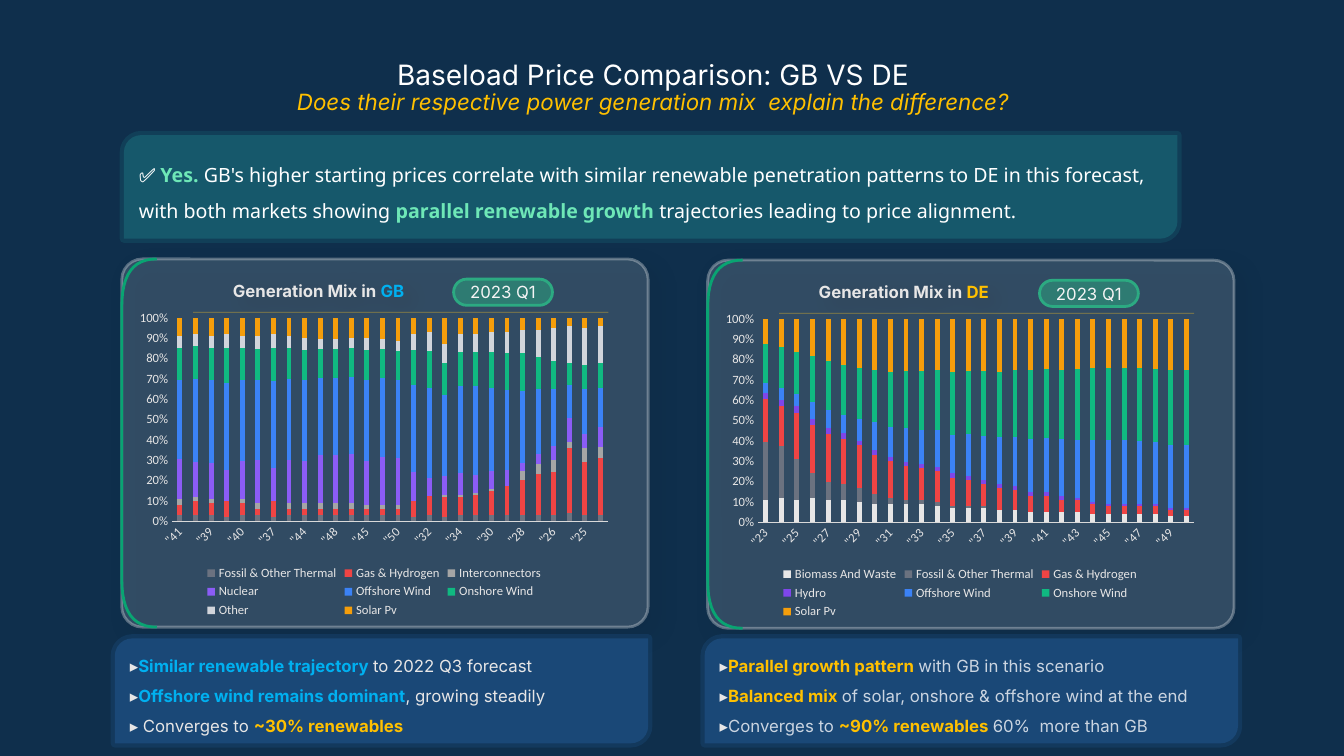
from dataclasses import dataclass

from lxml.etree import SubElement
from pptx import Presentation
from pptx.chart.data import CategoryChartData
from pptx.dml.color import RGBColor
from pptx.enum.chart import XL_CHART_TYPE as CT, XL_LEGEND_POSITION as LP, XL_TICK_MARK as TM
from pptx.enum.shapes import MSO_CONNECTOR as MC, MSO_SHAPE as MS
from pptx.enum.text import MSO_ANCHOR as MA, PP_ALIGN as PA
from pptx.oxml.ns import qn
from pptx.util import Pt


@dataclass(frozen=True)
class Theme:
    """Colours, fonts and type sizes."""
    back: str = "0F2F4C"
    banner: str = "16586B"
    note: str = "1A4877"
    white: str = "FFFFFF"
    light: str = "E7E6E6"
    soft: str = "CBD5E1"
    mint: str = "6EE7B7"
    green: str = "09A472"
    blue: str = "00B0F0"
    gold: str = "FFC000"
    axis: str = "D9D9D9"
    shadow: str = "000000"
    sans: str = "Inter"
    body: str = "Noto Sans"
    chart: str = "Calibri"
    title: int = 20
    subtitle: int = 16
    lead: int = 14
    text: int = 12
    label: int = 9


T = Theme()
COLOURS = {
    "Biomass And Waste": "E7E6E6", "Fossil & Other Thermal": "6B7280",
    "Gas & Hydrogen": "EF4444", "Interconnectors": "A5A5A5",
    "Nuclear": "8B5CF6", "Hydro": "7F46EA", "Offshore Wind": "3B82F6",
    "Onshore Wind": "10B981", "Other": "D1D5DB", "Solar Pv": "F59E0B",
}
GB_YEARS = [41, 38, 39, 36, 40, 42, 37, 43, 44, 46, 48, 47, 45, 49,
            50, 35, 32, 31, 34, 33, 30, 29, 28, 27, 26, 23, 25, 24]
GB_MIX = {
    "Fossil & Other Thermal": [3, 3, 3, 2, 3, 3, 2, 3, 3, 3, 3, 3, 3, 3,
                               3, 2, 3, 2, 3, 3, 3, 3, 3, 3, 3, 4, 3, 3],
    "Gas & Hydrogen": [5, 7, 6, 8, 6, 3, 8, 3, 3, 3, 3, 3, 3, 3,
                       3, 8, 9, 10, 9, 10, 12, 14, 17, 20, 21, 32, 26, 28],
    "Interconnectors": [-3, -2, -2, 0, -2, -3, 0, -3, -3, -3, -3, -3, -2, -2,
                        -2, 0, 0, -1, 1, 1, -1, 0, 4, 5, 6, 3, 7, 5],
    "Nuclear": [20, 17, 18, 15, 19, 21, 16, 21, 21, 23, 23, 24, 22, 23,
                23, 14, 9, 9, 11, 9, 9, 8, 4, 5, 7, 12, 7, 10],
    "Offshore Wind": [39, 41, 41, 43, 40, 39, 43, 40, 40, 38, 38, 38, 40, 38,
                      38, 43, 44, 40, 44, 44, 41, 39, 35, 32, 28, 16, 22, 19],
    "Onshore Wind": [16, 16, 16, 17, 16, 15, 16, 15, 15, 14, 14, 14, 15, 14,
                     14, 17, 18, 16, 17, 17, 18, 18, 18, 16, 14, 11, 12, 12],
    "Other": [6, 6, 6, 7, 6, 6, 7, 6, 6, 5, 5, 5, 6, 5,
              5, 8, 9, 9, 9, 9, 10, 10, 11, 13, 16, 18, 18, 18],
    "Solar Pv": [9, 8, 9, 8, 9, 9, 8, 9, 10, 10, 10, 10, 10, 10,
                 11, 8, 7, 13, 8, 8, 7, 7, 6, 6, 5, 4, 5, 4],
}
DE_YEARS = range(23, 51)
DE_MIX = {
    "Biomass And Waste": [11, 12, 11, 12, 11, 11, 10, 9, 9, 9, 9, 8, 7, 7,
                          7, 6, 6, 5, 5, 5, 5, 4, 4, 4, 4, 4, 3, 3],
    "Fossil & Other Thermal": [28, 26, 20, 12, 9, 8, 7, 5, 3, 2, 2, 2, 1, 1, 1] + [0] * 13,
    "Gas & Hydrogen": [21, 20, 23, 24, 24, 23, 21, 19, 18, 17, 16, 15, 14, 13,
                       11, 11, 10, 8, 8, 6, 6, 5, 4, 4, 4, 4, 3, 3],
    "Hydro": [3] * 6 + [2] * 14 + [1] * 8,
    "Offshore Wind": [5, 6, 6, 8, 9, 9, 11, 14, 15, 17, 17, 18, 19, 21,
                      22, 23, 24, 26, 27, 28, 29, 30, 31, 31, 31, 31, 31, 31],
    "Onshore Wind": [19, 20, 21, 23, 24, 25, 25, 25, 27, 28, 29, 29, 31, 31,
                     32, 32, 33, 34, 34, 34, 35, 35, 35, 35, 36, 36, 37, 37],
    "Solar Pv": [12, 14, 16, 18, 21, 23, 24, 25, 26, 26, 26, 25, 26, 26,
                 26, 26, 25, 25, 25, 25, 25, 24, 24, 24, 24, 25, 25, 25],
}


def paint(fill, colour, alpha=100):
    """Fill with a solid colour at the given opacity."""
    fill.solid()
    fill.fore_color.rgb = RGBColor.from_string(colour)
    if alpha < 100:
        clr = fill._xPr.find(".//" + qn("a:srgbClr"))
        SubElement(clr, qn("a:alpha"), val=str(alpha * 1000))


def add_box(s, kind, box, fill, line, width, fill_alpha=100, line_alpha=100):
    """Add a preset shape without a shadow, its text centred vertically."""
    sp = s.shapes.add_shape(kind, *map(Pt, box))
    sp.shadow.inherit = False
    paint(sp.fill, fill, fill_alpha)
    paint(sp.line.fill, line, line_alpha)
    sp.line.width = Pt(width)
    sp.text_frame.vertical_anchor = MA.MIDDLE
    return sp


def write(tf, lines, size, name=T.sans, spacing=1.0, align=PA.LEFT):
    """Write lines of (text, colour, bold) runs."""
    tf.word_wrap = True
    for i, runs in enumerate(lines):
        p = tf.add_paragraph() if i else tf.paragraphs[0]
        p.alignment, p.line_spacing = align, spacing
        p.font.size, p.font.name = Pt(size), name
        for text, colour, bold in runs:
            r = p.add_run()
            r.text, r.font.bold = text, bold
            r.font.color.rgb = RGBColor.from_string(colour)


def add_title(s, box):
    """Place the title and its question."""
    tf = s.shapes.add_textbox(*map(Pt, box)).text_frame
    tf.vertical_anchor = MA.MIDDLE
    write(tf, [[("Baseload Price Comparison: GB VS DE", T.white, False)],
               [("Does their respective power generation mix  explain the difference?", T.gold, False)]],
          T.title, spacing=0.9, align=PA.CENTER)
    question = tf.paragraphs[1].font
    question.size, question.italic = Pt(T.subtitle), True


def add_banner(s, box):
    """Place the answer banner."""
    sp = add_box(s, MS.ROUND_2_DIAG_RECTANGLE, box, T.banner, T.banner, 6, line_alpha=40)
    write(sp.text_frame, [[
        ("✅ ", T.white, False), ("Yes.", T.mint, True),
        (" GB's higher starting prices correlate with similar renewable penetration patterns to DE "
         "in this forecast, with both markets showing ", T.white, False),
        ("parallel renewable growth", T.mint, True),
        (" trajectories leading to price alignment.", T.white, False)]], T.lead, T.body, 1.5)
    sp.text_frame.paragraphs[0].runs[0].font.name = T.chart


def add_edge(s, box):
    """Trace the green left edge with its two curved corners."""
    x, y, w, h = box
    curve = []
    for i in range(13):
        t = i / 12
        u = 1 - t
        curve.append((25 * u**3 + 75 * u * u * t / 3, 34.5 * (t**3 + 3 * u * t * t * 0.31)))
    points = [(x + dx, y + dy) for dx, dy in curve]
    points += [(x + dx, y + h - dy) for dx, dy in reversed(curve)]
    points = [(Pt(px), Pt(py)) for px, py in points]
    fb = s.shapes.build_freeform(*points[0])
    fb.add_line_segments(points[1:], close=False)
    sp = fb.convert_to_shape()
    sp.shadow.inherit = False
    sp.fill.background()
    paint(sp.line.fill, T.green)
    sp.line.width = Pt(2)


def add_mix_chart(s, box, years, mix):
    """Place the stacked generation chart."""
    data = CategoryChartData()
    data.categories = [f'"{year}' for year in years]
    for name, values in mix.items():
        data.add_series(name, values)
    chart = s.shapes.add_chart(CT.COLUMN_STACKED_100, *map(Pt, box), data).chart
    chart.font.size, chart.font.name = Pt(T.label), T.chart
    chart.font.color.rgb = RGBColor.from_string(T.light)
    chart.has_title = False
    chart.has_legend = True
    chart.legend.position, chart.legend.include_in_layout = LP.BOTTOM, False
    cat, val = chart.category_axis, chart.value_axis
    for axis in (cat, val):
        axis.major_tick_mark = axis.minor_tick_mark = TM.NONE
        axis.has_major_gridlines = False
        axis.tick_labels.font.size = Pt(T.label)
    paint(cat.format.line.fill, T.axis)
    cat.format.line.width = Pt(0.75)
    cat._element.find(".//" + qn("a:bodyPr")).set("rot", "-2700000")
    val.format.line.fill.background()
    val.tick_labels.number_format, val.tick_labels.number_format_is_linked = "0%", False
    plot = chart.plots[0]
    plot.gap_width, plot.overlap, plot.vary_by_categories = 219, 100, False
    for series in plot.series:
        paint(series.format.fill, COLOURS[series.name])
        series.invert_if_negative = False


def add_market(s, box, market, colour, years, mix):
    """Place one market panel with its heading, quarter and chart."""
    x, y, w, h = box
    pill = add_box(s, MS.ROUNDED_RECTANGLE, (x + 237, y + 14.4, 70.6, 18.7), T.green, T.green, 2, 50)
    pill.adjustments[0] = 0.5
    write(pill.text_frame, [[("2023 Q1", T.white, False)]], T.text, align=PA.CENTER)
    rule = s.shapes.add_connector(MC.STRAIGHT, *map(Pt, (x + 51, y + 38, x + 347.5, y + 38)))
    paint(rule.line.fill, T.gold, 50)
    rule.line.width = Pt(0.5)
    SubElement(rule._element.spPr, qn("a:effectLst"))
    panel = add_box(s, MS.ROUNDED_RECTANGLE, box, T.white, T.white, 2, 15, 30)
    panel.adjustments[0] = 0.056
    effects = panel._element.spPr.find(qn("a:effectLst"))
    shadow = SubElement(effects, qn("a:outerShdw"), blurRad=str(Pt(15)), dist=str(Pt(8)), dir="2700000")
    SubElement(SubElement(shadow, qn("a:srgbClr"), val=T.shadow), qn("a:alpha"), val="30000")
    tf = panel.text_frame
    tf.vertical_anchor, tf.margin_left, tf.margin_top = MA.TOP, Pt(75), Pt(11)
    write(tf, [[("Generation Mix in ", T.light, True), (market, colour, True)]], T.text)
    add_edge(s, box)
    add_mix_chart(s, (x + 6, y + 32.4, 348.5, 226.8), years, mix)


def add_note(s, box, lines):
    """Place the findings under a panel."""
    sp = add_box(s, MS.ROUND_2_DIAG_RECTANGLE, box, T.note, T.note, 6, line_alpha=40)
    write(sp.text_frame, [[("▸", T.light, False)] + line for line in lines], T.text, spacing=1.5)


def main():
    """Build the slide and save it."""
    prs = Presentation()
    prs.slide_width, prs.slide_height = Pt(960), Pt(540)
    s = prs.slides.add_slide(prs.slide_layouts[6])
    paint(s.background.fill, T.back)
    add_title(s, (93, 39, 747, 48))
    add_banner(s, (88.5, 96.5, 752.5, 74))
    add_market(s, (87, 185, 376, 263), "GB", T.blue, GB_YEARS, GB_MIX)
    add_market(s, (505.5, 185.8, 376, 263), "DE", T.gold, DE_YEARS, DE_MIX)
    add_note(s, (82, 456, 381, 75), [
        [("Similar renewable trajectory ", T.blue, True), ("to 2022 Q3 forecast", T.light, False)],
        [("Offshore wind remains dominant", T.blue, True), (", growing steadily", T.light, False)],
        [(" Converges to ", T.light, False), ("~30% renewables", T.gold, True)]])
    add_note(s, (503.3, 456, 381, 75), [
        [("Parallel growth pattern ", T.gold, True), ("with GB in this scenario", T.soft, False)],
        [("Balanced mix ", T.gold, True), ("of solar, onshore & offshore wind at the end", T.soft, False)],
        [("Converges to ", T.soft, False), ("~90% renewables ", T.gold, True),
         ("60%  more than GB", T.soft, False)]])
    prs.save("out.pptx")


if __name__ == "__main__":
    main()
